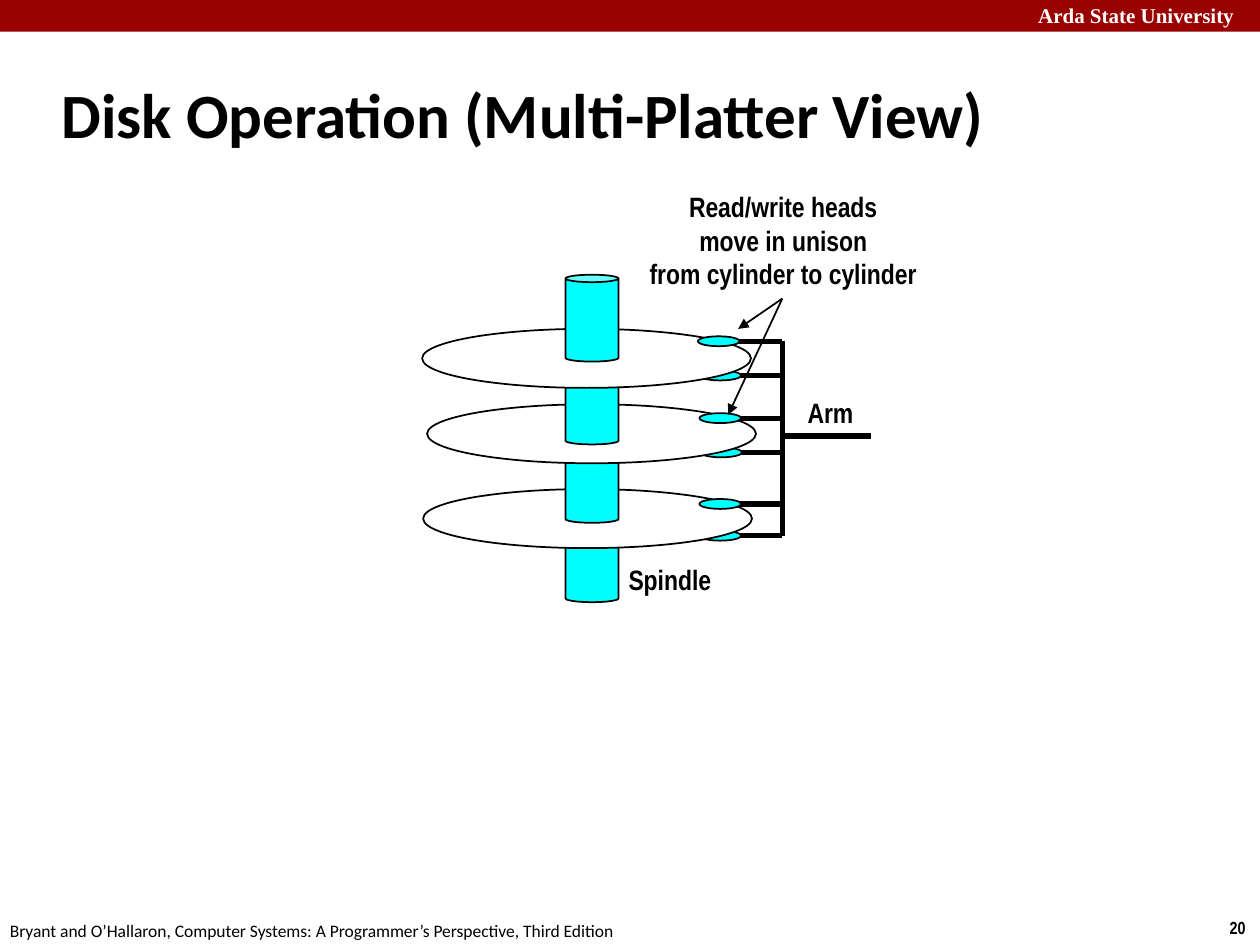
from dataclasses import dataclass

from lxml import etree
from pptx import Presentation
from pptx.dml.color import RGBColor
from pptx.enum.shapes import MSO_CONNECTOR, MSO_SHAPE
from pptx.enum.text import MSO_ANCHOR, PP_ALIGN
from pptx.oxml.ns import qn
from pptx.util import Cm, Pt

RECT, OVAL, CAN = MSO_SHAPE.RECTANGLE, MSO_SHAPE.OVAL, MSO_SHAPE.CAN
STRAIGHT = MSO_CONNECTOR.STRAIGHT
TOP, MIDDLE = MSO_ANCHOR.TOP, MSO_ANCHOR.MIDDLE
LEFT, CENTER = PP_ALIGN.LEFT, PP_ALIGN.CENTER


@dataclass(frozen=True)
class Theme:
    bar: str = "990000"
    metal: str = "00FFFF"
    paper: str = "FFFFFF"
    ink: str = "000000"
    title_font: str = "Calibri"
    label_font: str = "Arial Narrow"
    header_font: str = "Times New Roman"
    title: int = 36
    label: int = 16
    header: int = 12
    small: int = 10
    thin: int = 1
    thick: int = 3


T = Theme()

SLIDE = (25.4, 19.05)
BAR = (0, 0, 25.4, 0.64)
LABEL = dict(font=T.label_font, size=T.label, bold=True, anchor=MIDDLE)
TEXTS = [
    ("Arda State University", (20.68, -0.08, 4.9, 0.76),
     dict(font=T.header_font, size=T.header, bold=True, color=T.paper)),
    ("20", (24.54, 18.36, 0.86, 0.69),
     dict(font=T.label_font, size=T.small, bold=True, wrap=False)),
    ("Bryant and O’Hallaron, Computer Systems: A Programmer’s Perspective, Third Edition",
     (-0.05, 18.42, 12.9, 0.69), dict(font=T.title_font, size=T.small)),
    ("Disk Operation (Multi-Platter View)", (0.99, 1.22, 21.08, 2.11),
     dict(font=T.title_font, size=T.title, bold=True, anchor=MIDDLE)),
    ("Arm", (16.03, 7.85, 1.45, 0.94), dict(LABEL, wrap=False)),
    ("Read/write heads\nmove in unison\nfrom cylinder to cylinder",
     (12.73, 3.68, 6.12, 2.31), dict(LABEL, align=CENTER)),
    ("Spindle", (12.4, 11.2, 2.21, 0.94), dict(LABEL, align=CENTER, wrap=False)),
]

# left, top, upper head (left, middle), lower head (left, middle)
PLATTERS = [
    (8.51, 6.63, (14.07, 6.88), (14.1, 7.57)),
    (8.61, 8.15, (14.1, 8.43), (14.12, 9.12)),
    (8.53, 9.86, (14.1, 10.16), (14.1, 10.8)),
]
PLATTER_SIZE = (6.63, 1.19)
HEAD_SIZE = (0.84, 0.2)
SPINDLE_LEFT, SPINDLE_SIZE = 11.4, (1.07, 1.75)
SPINDLE_TOPS = [5.54, 7.21, 8.79, 10.39]
POST_X, FINGER_X = 15.77, 14.5
ARM_Y, ARM_END = 8.79, 17.55
ARROW_START = (15.77, 6.02)
ARROW_ENDS = [(14.88, 6.63), (14.68, 8.36)]


def rgb(color):
    return RGBColor.from_string(color)


def add_shape(s, kind, box, fill, outline=T.ink):
    sp = s.shapes.add_shape(kind, *map(Cm, box))
    sp.shadow.inherit = False
    sp.fill.solid()
    sp.fill.fore_color.rgb = rgb(fill)
    if outline:
        sp.line.color.rgb = rgb(outline)
        sp.line.width = Pt(T.thin)
    else:
        sp.line.fill.background()
    return sp


def add_line(s, start, end, width=T.thick, arrow=False):
    ln = s.shapes.add_connector(STRAIGHT, *map(Cm, start + end))
    ln.line.color.rgb = rgb(T.ink)
    ln.line.width = Pt(width)
    etree.SubElement(ln._element.spPr, qn("a:effectLst"))
    if arrow:
        etree.SubElement(ln.line._get_or_add_ln(), qn("a:tailEnd"), type="triangle")


def add_text(s, text, box, *, font, size, bold=False, color=T.ink,
             align=LEFT, anchor=TOP, wrap=True):
    tf = s.shapes.add_textbox(*map(Cm, box)).text_frame
    tf.word_wrap = wrap
    tf.vertical_anchor = anchor
    for i, line in enumerate(text.split("\n")):
        p = tf.add_paragraph() if i else tf.paragraphs[0]
        p.alignment = align
        r = p.add_run()
        r.text = line
        r.font.name, r.font.size, r.font.bold = font, Pt(size), bold
        r.font.color.rgb = rgb(color)


def add_head(s, left, middle):
    add_line(s, (POST_X, middle), (FINGER_X, middle))
    width, height = HEAD_SIZE
    add_shape(s, OVAL, (left, middle - height / 2, width, height), T.metal)


def add_spindle(s, top):
    sp = add_shape(s, CAN, (SPINDLE_LEFT, top, *SPINDLE_SIZE), T.metal)
    sp.adjustments[0] = 0.14


def add_disk(s):
    for *_, lower in PLATTERS:
        add_head(s, *lower)
    for platter, top in zip(reversed(PLATTERS), reversed(SPINDLE_TOPS)):
        left, y, upper, _ = platter
        add_spindle(s, top)
        add_shape(s, OVAL, (left, y, *PLATTER_SIZE), T.paper)
        add_head(s, *upper)
    add_spindle(s, SPINDLE_TOPS[0])
    add_line(s, (POST_X, PLATTERS[0][2][1]), (POST_X, PLATTERS[-1][3][1]))
    add_line(s, (POST_X, ARM_Y), (ARM_END, ARM_Y))


def main():
    """Build the multi-platter disk slide."""
    prs = Presentation()
    prs.slide_width, prs.slide_height = map(Cm, SLIDE)
    s = prs.slides.add_slide(prs.slide_layouts[6])
    add_shape(s, RECT, BAR, T.bar, outline=None)
    add_disk(s)
    for text, box, style in TEXTS:
        add_text(s, text, box, **style)
    for end in ARROW_ENDS:
        add_line(s, ARROW_START, end, T.thin, arrow=True)
    prs.save("out.pptx")


if __name__ == "__main__":
    main()
